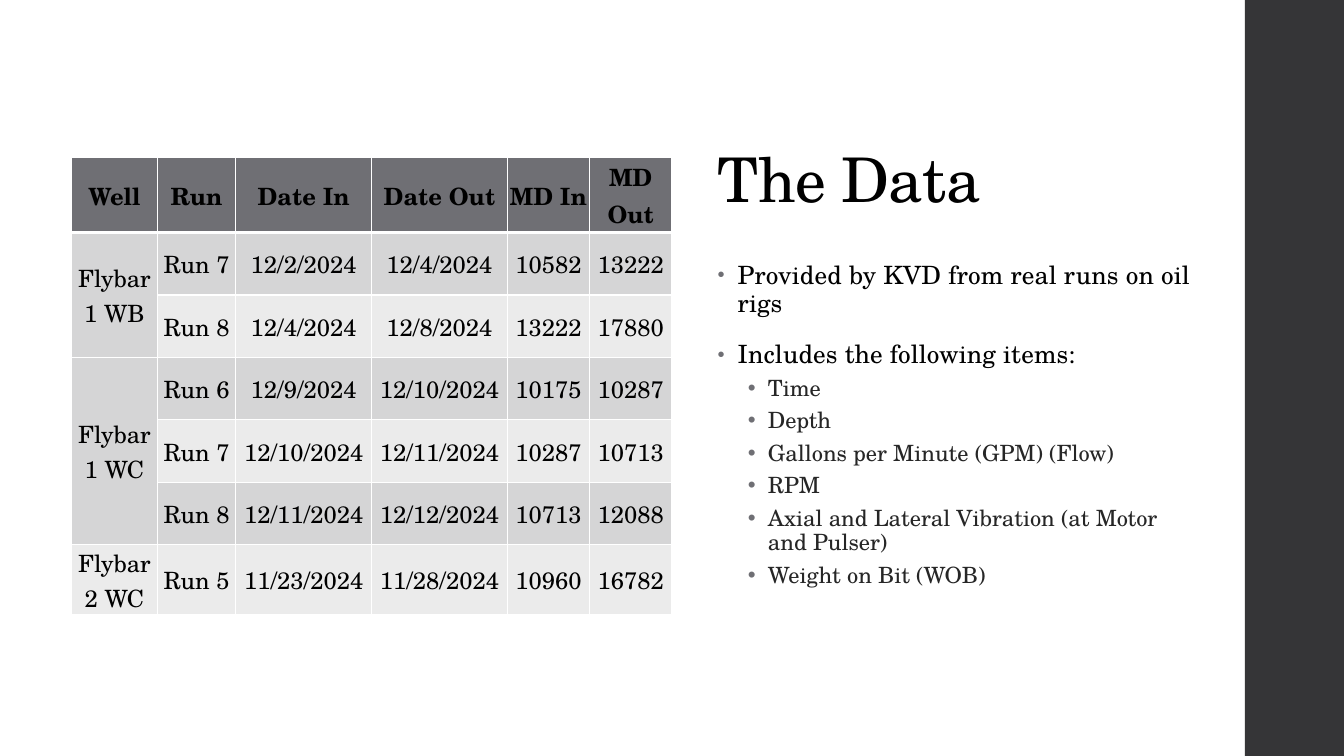
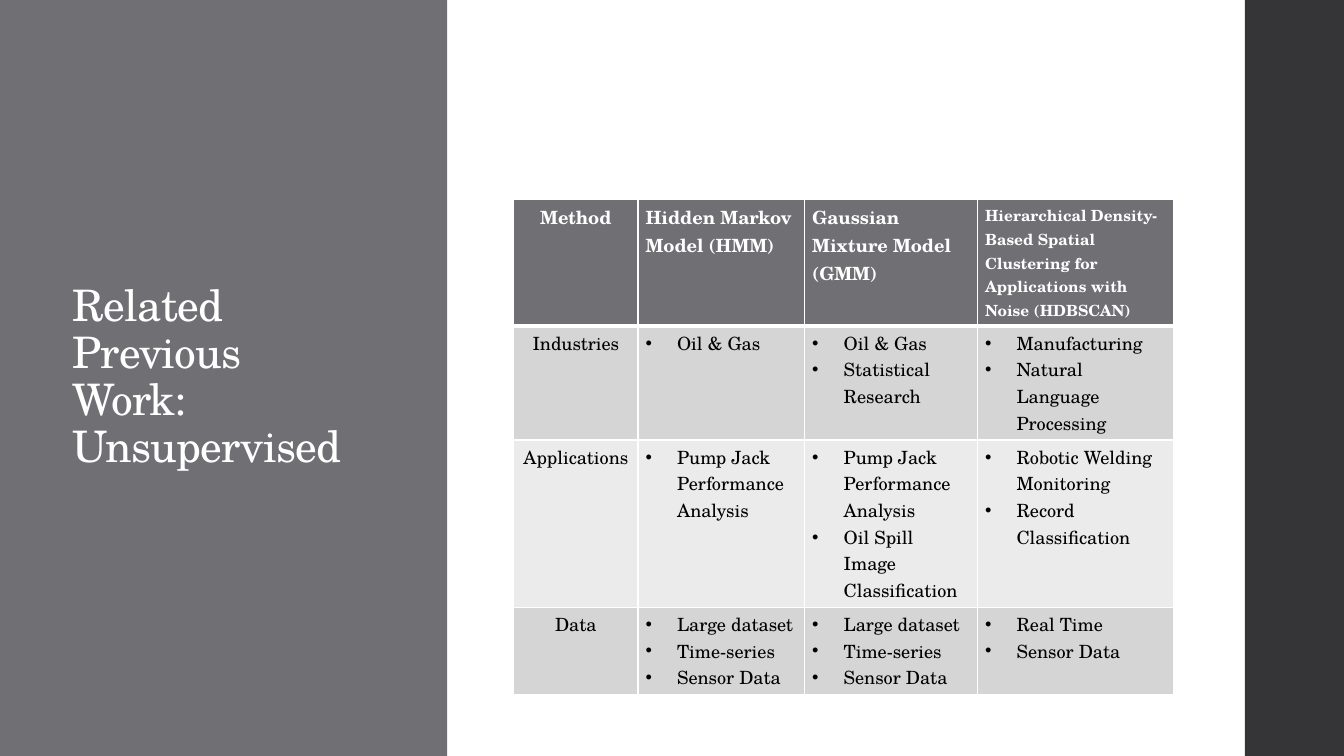
from dataclasses import dataclass
from typing import Any

from lxml.etree import SubElement
from pptx import Presentation
from pptx.dml.color import RGBColor
from pptx.enum.shapes import MSO_SHAPE
from pptx.enum.text import MSO_ANCHOR, MSO_AUTO_SIZE, PP_ALIGN
from pptx.oxml.ns import qn
from pptx.util import Pt

COLORS = {
    "black": "000000",
    "white": "FFFFFF",
    "gray": "6F6F74",
    "band": "353537",
    "body": "262626",
    "odd_row": "D5D5D6",
    "even_row": "EBEBEB",
}
FONT = "TeX Gyre Schola"
SLIDE_W, SLIDE_H = 960, 540
BAND_LEFT = 889.2


@dataclass(frozen=True)
class Box:
    left: float
    top: float
    width: float
    height: float

    def lengths(self) -> list[Pt]:
        return [Pt(v) for v in (self.left, self.top, self.width, self.height)]


@dataclass(frozen=True)
class Bullet:
    margin: float
    hang: float
    color: str | None = None
    percent: int | None = None


@dataclass(frozen=True)
class ParaStyle:
    size: float
    color: str = "black"
    bold: bool = False
    align: Any = PP_ALIGN.LEFT
    line: float | None = None
    before: float | None = None
    after: float | None = None
    spacing: float = 0
    bullet: Bullet | None = None


@dataclass(frozen=True)
class Para:
    text: str
    style: ParaStyle


@dataclass(frozen=True)
class TableLook:
    box: Box
    cols: list[float]
    rows: list[float]
    anchor: Any
    insets: tuple[float, float, float, float]  # left, top, right, bottom


def rgb(name: str) -> RGBColor:
    return RGBColor.from_string(COLORS[name])


def set_attrs(target: Any, values: dict[str, Any]) -> None:
    for name, value in values.items():
        setattr(target, name, value)


def add_bullet(p: Any, bullet: Bullet) -> None:
    pPr = p._p.get_or_add_pPr()
    pPr.set("marL", str(Pt(bullet.margin)))
    pPr.set("indent", str(-Pt(bullet.hang)))
    if bullet.color:
        clr = SubElement(pPr, qn("a:buClr"))
        SubElement(clr, qn("a:srgbClr"), val=COLORS[bullet.color])
    if bullet.percent:
        SubElement(pPr, qn("a:buSzPct"), val=str(bullet.percent * 1000))
    SubElement(pPr, qn("a:buFont"), typeface="Arial")
    SubElement(pPr, qn("a:buChar"), char="•")


def write(tf: Any, paras: list[Para]) -> None:
    """Fill a text frame, reusing its first paragraph."""
    for i, para in enumerate(paras):
        st = para.style
        p = tf.add_paragraph() if i else tf.paragraphs[0]
        p.alignment = st.align
        if st.line:
            p.line_spacing = st.line
        if st.before is not None:
            set_attrs(p, {"space_before": Pt(st.before), "space_after": Pt(st.after)})
        if st.bullet:
            add_bullet(p, st.bullet)
        r = p.add_run()
        r.text = para.text
        set_attrs(r.font, {"name": FONT, "size": Pt(st.size), "bold": st.bold})
        r.font.color.rgb = rgb(st.color)
        if st.spacing:
            r._r.get_or_add_rPr().set("spc", str(round(st.spacing * 100)))


def add_panel(s: Any, box: Box, color: str) -> None:
    """Draw a plain rectangle behind the slide title."""
    sp = s.shapes.add_shape(MSO_SHAPE.RECTANGLE, *box.lengths())
    sp.shadow.inherit = False
    sp.fill.solid()
    sp.fill.fore_color.rgb = rgb(color)
    sp.line.fill.background()
    s.shapes.title.element.addprevious(sp.element)


def add_slide(prs: Any, title: str, box: Box, anchor: Any, size: float, color: str) -> Any:
    s = prs.slides.add_slide(prs.slide_layouts.get_by_name("Title Only"))
    sp = s.shapes.title
    set_attrs(sp, dict(zip(("left", "top", "width", "height"), box.lengths())))
    tf = sp.text_frame
    set_attrs(tf, {"word_wrap": True, "auto_size": MSO_AUTO_SIZE.NONE, "vertical_anchor": anchor})
    write(tf, [Para(title, ParaStyle(size, color, line=0.9, spacing=-0.5))])
    add_panel(s, Box(BAND_LEFT, 0, 72, SLIDE_H), "band")
    return s


def set_borders(cell: Any, row: int) -> None:
    """White rules, heavier under the header row."""
    widths = {"L": 1, "R": 1, "T": 3 if row == 1 else 1, "B": 3 if row == 0 else 1}
    tcPr = cell._tc.get_or_add_tcPr()
    for side, width in widths.items():
        ln = SubElement(tcPr, qn(f"a:ln{side}"), w=str(Pt(width)))
        fill = SubElement(ln, qn("a:solidFill"))
        SubElement(fill, qn("a:srgbClr"), val=COLORS["white"])


def add_grid(s: Any, look: TableLook, cells: list[list[list[Para]]]) -> Any:
    frame = s.shapes.add_table(len(look.rows), len(look.cols), *look.box.lengths())
    table = frame.table
    set_attrs(table, {"first_row": False, "horz_banding": False})
    for col, width in zip(table.columns, look.cols):
        col.width = Pt(width)
    for row, height in zip(table.rows, look.rows):
        row.height = Pt(height)
    sides = ("margin_left", "margin_top", "margin_right", "margin_bottom")
    for i, row in enumerate(cells):
        color = "gray" if i == 0 else "odd_row" if i % 2 else "even_row"
        for j, paras in enumerate(row):
            cell = table.cell(i, j)
            set_attrs(cell, dict(zip(sides, map(Pt, look.insets))))
            cell.vertical_anchor = look.anchor
            set_borders(cell, i)
            cell.fill.solid()
            cell.fill.fore_color.rgb = rgb(color)
            write(cell.text_frame, paras)
    return table


def build_data(prs: Any) -> None:
    s = add_slide(prs, "The Data", Box(505.5, 53, 357, 104.5), MSO_ANCHOR.BOTTOM, 44, "black")

    point = ParaStyle(18, line=0.95, before=14, after=2, spacing=0.1,
                      bullet=Bullet(14.4, 14.4, "gray", 80))
    item = ParaStyle(16, "body", line=0.9, before=3, after=3,
                     bullet=Bullet(36, 14.4, "gray"))
    points = ["Provided by KVD from real runs on oil rigs", "Includes the following items:"]
    items = ["Time", "Depth", "Gallons per Minute (GPM) (Flow)", "RPM",
             "Axial and Lateral Vibration (at Motor and Pulser)", "Weight on Bit (WOB)"]
    tf = s.shapes.add_textbox(*Box(505.5, 183, 360, 304).lengths()).text_frame
    tf.word_wrap = True
    write(tf, [Para(t, point) for t in points] + [Para(t, item) for t in items])

    head = ParaStyle(17, bold=True, align=PP_ALIGN.CENTER)
    body = ParaStyle(17, align=PP_ALIGN.CENTER)
    runs = [
        ["Well", "Run", "Date In", "Date Out", "MD In", "MD Out"],
        ["Flybar 1 WB", "Run 7", "12/2/2024", "12/4/2024", "10582", "13222"],
        ["", "Run 8", "12/4/2024", "12/8/2024", "13222", "17880"],
        ["Flybar 1 WC", "Run 6", "12/9/2024", "12/10/2024", "10175", "10287"],
        ["", "Run 7", "12/10/2024", "12/11/2024", "10287", "10713"],
        ["", "Run 8", "12/11/2024", "12/12/2024", "10713", "12088"],
        ["Flybar 2 WC", "Run 5", "11/23/2024", "11/28/2024", "10960", "16782"],
    ]
    cells = [[[Para(t, body if i else head)] if t else [] for t in row]
             for i, row in enumerate(runs)]
    look = TableLook(Box(51, 112.6, 429, 326.5), [61.5, 56, 97, 97, 58.75, 58.75],
                     [53.5] + [44.6] * 5 + [50], MSO_ANCHOR.MIDDLE, (0.7, 0.7, 0.7, 0))
    table = add_grid(s, look, cells)
    for first, last in ((1, 2), (3, 5)):
        table.cell(first, 0).merge(table.cell(last, 0))


def build_related_work(prs: Any) -> None:
    s = add_slide(prs, "Related Previous Work: Unsupervised", Box(44.6, 66, 214, 408),
                  MSO_ANCHOR.MIDDLE, 31, "white")
    add_panel(s, Box(0, 0, 319.5, SLIDE_H), "gray")

    label = ParaStyle(13, align=PP_ALIGN.CENTER)
    entry = ParaStyle(13, bullet=Bullet(22.5, 22.5))
    heads = [
        ("Method", 13, PP_ALIGN.CENTER),
        ("Hidden Markov Model (HMM)", 13, PP_ALIGN.LEFT),
        ("Gaussian Mixture Model (GMM)", 13, PP_ALIGN.LEFT),
        ("Hierarchical Density-Based Spatial Clustering for Applications with Noise (HDBSCAN)",
         11, PP_ALIGN.LEFT),
    ]
    pump = "Pump Jack Performance Analysis"
    series = ["Large dataset", "Time-series", "Sensor Data"]
    topics = {
        "Industries": [["Oil & Gas"], ["Oil & Gas", "Statistical Research"],
                       ["Manufacturing", "Natural Language Processing"]],
        "Applications": [[pump], [pump, "Oil Spill Image Classification"],
                         ["Robotic Welding Monitoring", "Record Classification"]],
        "Data": [series, series, ["Real Time", "Sensor Data"]],
    }
    cells = [[[Para(t, ParaStyle(size, "white", True, align))] for t, size, align in heads]]
    for topic, columns in topics.items():
        cells.append([[Para(topic, label)]]
                     + [[Para(t, entry) for t in column] for column in columns])
    look = TableLook(Box(366.8, 142.7, 471.5, 292), [89, 119, 123.5, 140],
                     [61, 55, 86, 55], MSO_ANCHOR.TOP, (5.4, 2.5, 5.4, 2.5))
    add_grid(s, look, cells)


def main() -> None:
    prs = Presentation()
    set_attrs(prs, {"slide_width": Pt(SLIDE_W), "slide_height": Pt(SLIDE_H)})
    build_data(prs)
    build_related_work(prs)
    prs.save("out.pptx")


if __name__ == "__main__":
    main()
